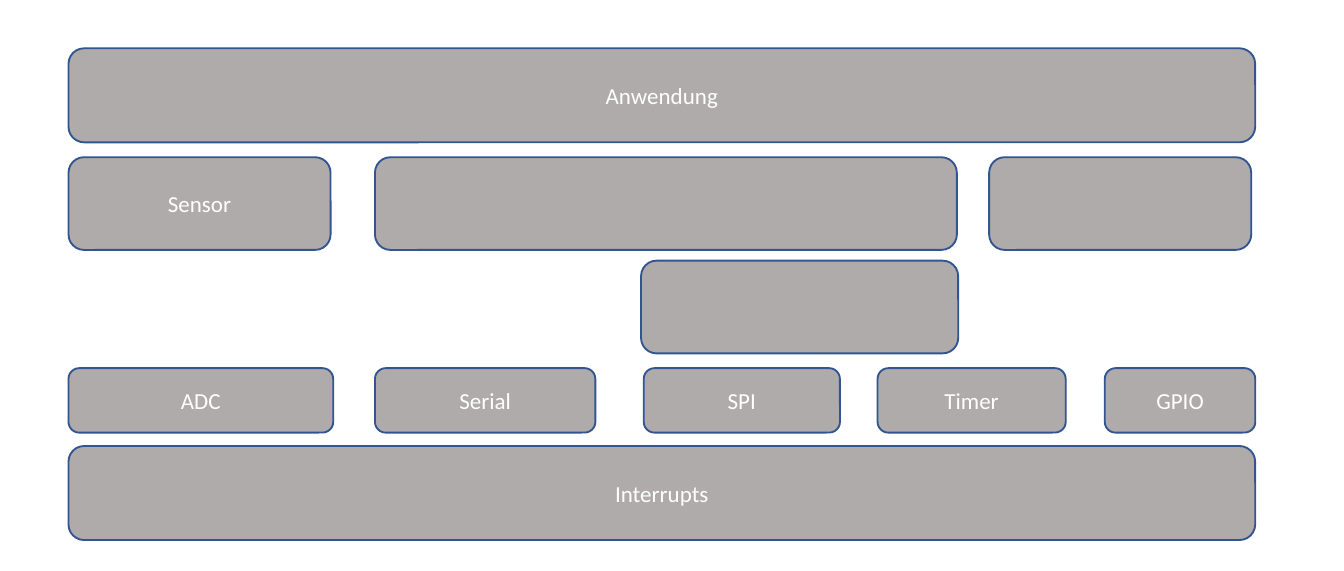
"""Build a slide showing the software layers of an embedded application."""
from pptx import Presentation
from pptx.dml.color import RGBColor
from pptx.enum.shapes import MSO_SHAPE
from pptx.enum.text import MSO_ANCHOR, PP_ALIGN
from pptx.util import Inches, Pt

LEFT, FULL_WIDTH = 0.51, 8.83
LAYERS = [
    {"top": 0.36, "height": 0.7, "blocks": [("Anwendung", LEFT, FULL_WIDTH)]},
    {"top": 1.17, "height": 0.69,
     "blocks": [("Sensor", LEFT, 1.95), ("", 2.79, 4.33), ("", 7.36, 1.95)]},
    {"top": 1.94, "height": 0.69, "blocks": [("", 4.77, 2.36)]},
    {"top": 2.74, "height": 0.48,
     "blocks": [("ADC", LEFT, 1.97), ("Serial", 2.79, 1.64), ("SPI", 4.79, 1.46),
                ("Timer", 6.53, 1.4), ("GPIO", 8.22, 1.12)]},
    {"top": 3.32, "height": 0.7, "blocks": [("Interrupts", LEFT, FULL_WIDTH)]},
]
THEME = {
    "fill": RGBColor.from_string("AFABAB"),
    "line": RGBColor.from_string("325491"),
    "line_width": Pt(1),
    "font": {"name": "Calibri", "size": Pt(12.3), "color": RGBColor.from_string("FFFFFF")},
}


def write_label(box, label):
    """Centre a label in its block."""
    frame = box.text_frame
    frame.word_wrap = True
    frame.vertical_anchor = MSO_ANCHOR.MIDDLE
    para = frame.paragraphs[0]
    para.alignment = PP_ALIGN.CENTER
    span = para.add_run()
    span.text = label
    for key, value in THEME["font"].items():
        if key == "color":
            span.font.color.rgb = value
        else:
            setattr(span.font, key, value)


def add_block(page, label, left, top, width, height):
    """Draw one rounded block of a layer."""
    bounds = [Inches(length) for length in (left, top, width, height)]
    box = page.shapes.add_shape(MSO_SHAPE.ROUNDED_RECTANGLE, *bounds)
    box.shadow.inherit = False
    box.fill.solid()
    box.fill.fore_color.rgb = THEME["fill"]
    box.line.color.rgb = THEME["line"]
    box.line.width = THEME["line_width"]
    if label:
        write_label(box, label)


deck = Presentation()
deck.slide_width, deck.slide_height = Inches(10), Inches(4.25)
page = deck.slides.add_slide(deck.slide_layouts[6])
for layer in LAYERS:
    for label, left, width in layer["blocks"]:
        add_block(page, label, left, layer["top"], width, layer["height"])
deck.save("out.pptx")
